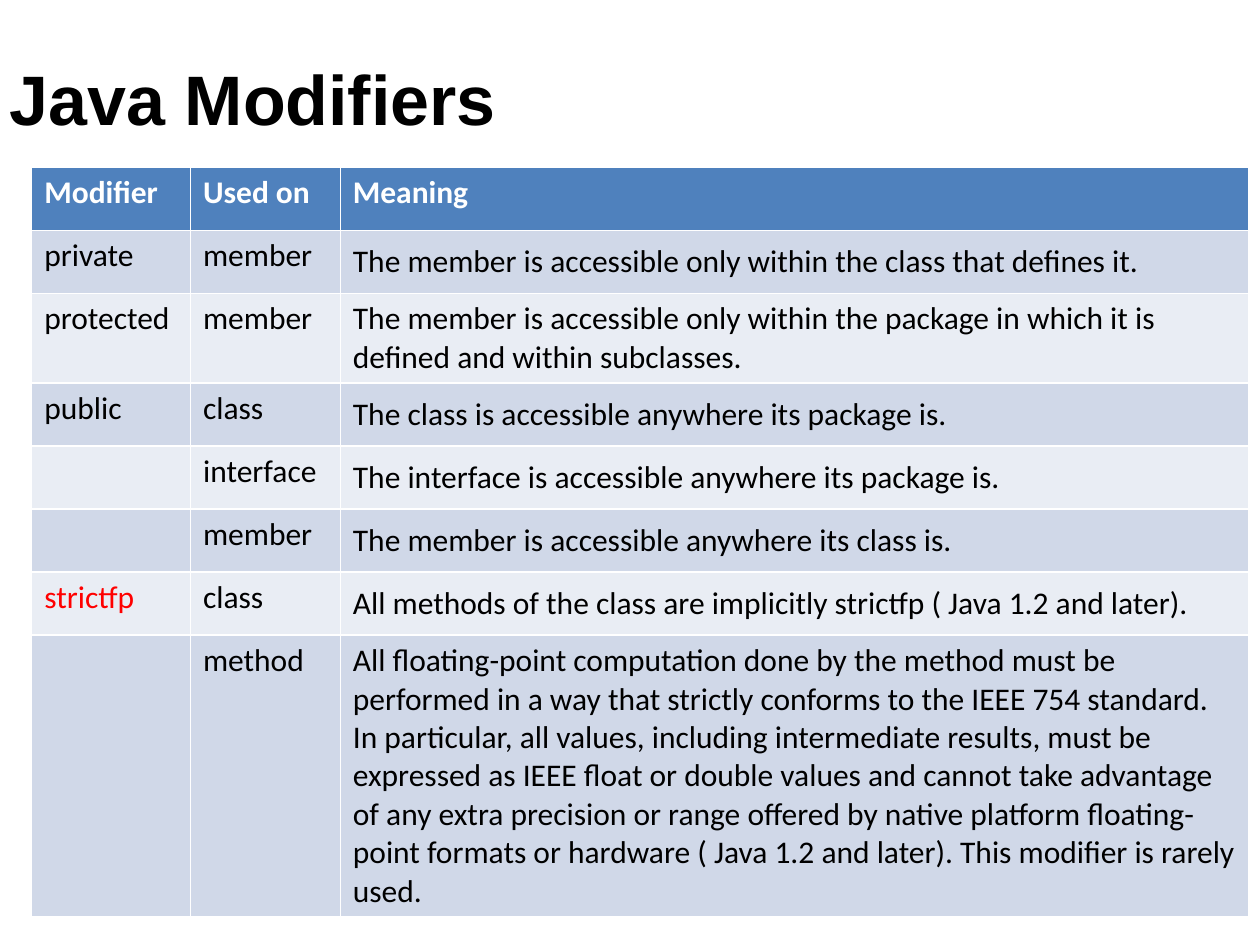
from pptx import Presentation
from pptx.dml.color import RGBColor
from pptx.enum.text import MSO_ANCHOR, PP_ALIGN
from pptx.util import Cm, Pt

TOP, MIDDLE, LEFT = MSO_ANCHOR.TOP, MSO_ANCHOR.MIDDLE, PP_ALIGN.LEFT

TITLE = "Java Modifiers"
HEADER = ("Modifier", "Used on", "Meaning")
MODIFIERS = [
    ("private", "member", "The member is accessible only within the class that defines it."),
    ("protected", "member", "The member is accessible only within the package in which it is "
     "defined and within subclasses."),
    ("public", "class", "The class is accessible anywhere its package is."),
    ("", "interface", "The interface is accessible anywhere its package is."),
    ("", "member", "The member is accessible anywhere its class is."),
    ("strictfp", "class", "All methods of the class are implicitly strictfp ( Java 1.2 and later)."),
    ("", "method", "All floating-point computation done by the method must be performed in a way "
     "that strictly conforms to the IEEE 754 standard. In particular, all values, including "
     "intermediate results, must be expressed as IEEE float or double values and cannot take "
     "advantage of any extra precision or range offered by native platform floating-point "
     "formats or hardware ( Java 1.2 and later). This modifier is rarely used."),
]
COLUMN_WIDTHS = (3.2, 3.02, 18.31)
ROW_HEIGHT = 1.27
TALL_ROWS = {"protected": 1.6, "method": 5}
HEADER_FILL, BANDS = "4F81BD", ("D0D8E8", "E9EDF4")
BLACK, WHITE, RED = "000000", "FFFFFF", "FF0000"


def color(value):
    """Turn a hex string into a colour."""
    return RGBColor.from_string(value)


def write(frame, text, size=18, font="Calibri", fill=BLACK, bold=False, anchor=TOP):
    """Put formatted, left-aligned text into a text frame."""
    frame.word_wrap = True
    frame.vertical_anchor = anchor
    paragraph = frame.paragraphs[0]
    paragraph.alignment = LEFT
    paragraph.font.size = Pt(size)
    if text:
        run = paragraph.add_run()
        run.text = text
        run.font.size, run.font.name, run.font.bold = Pt(size), font, bold
        run.font.color.rgb = color(fill)


def add_title(slide):
    """Place the title across the top of the slide."""
    title = slide.shapes.title
    title.left, title.top, title.width, title.height = Cm(0.2), Cm(1.12), Cm(25), Cm(1.7)
    frame = title.text_frame
    frame.margin_left = frame.margin_top = frame.margin_right = frame.margin_bottom = 0
    write(frame, TITLE, size=40, font="Arial", bold=True, anchor=MIDDLE)


def add_modifier_table(slide):
    """Add the banded table of modifiers."""
    rows = [HEADER] + MODIFIERS
    heights = [TALL_ROWS.get(row[0], TALL_ROWS.get(row[1], ROW_HEIGHT)) for row in rows]
    table = slide.shapes.add_table(len(rows), len(HEADER), Cm(0.64), Cm(3.38),
                                   Cm(sum(COLUMN_WIDTHS)), Cm(sum(heights))).table
    for column, width in zip(table.columns, COLUMN_WIDTHS):
        column.width = Cm(width)
    for row_index, (row, height) in enumerate(zip(rows, heights)):
        table.rows[row_index].height = Cm(height)
        is_header = row_index == 0
        for column_index, text in enumerate(row):
            cell = table.cell(row_index, column_index)
            cell.fill.solid()
            cell.fill.fore_color.rgb = color(HEADER_FILL if is_header else BANDS[(row_index - 1) % 2])
            centred = column_index == 2 and not is_header and row[0] != "protected"
            text_color = WHITE if is_header else RED if text == "strictfp" else BLACK
            write(cell.text_frame, text, fill=text_color, bold=is_header)
            cell.vertical_anchor = MIDDLE if centred else TOP


def main():
    """Build and save the presentation."""
    presentation = Presentation()
    presentation.slide_width, presentation.slide_height = Cm(25.4), Cm(19.05)
    slide = presentation.slides.add_slide(presentation.slide_layouts[5])
    add_title(slide)
    add_modifier_table(slide)
    presentation.save("out.pptx")


if __name__ == "__main__":
    main()
